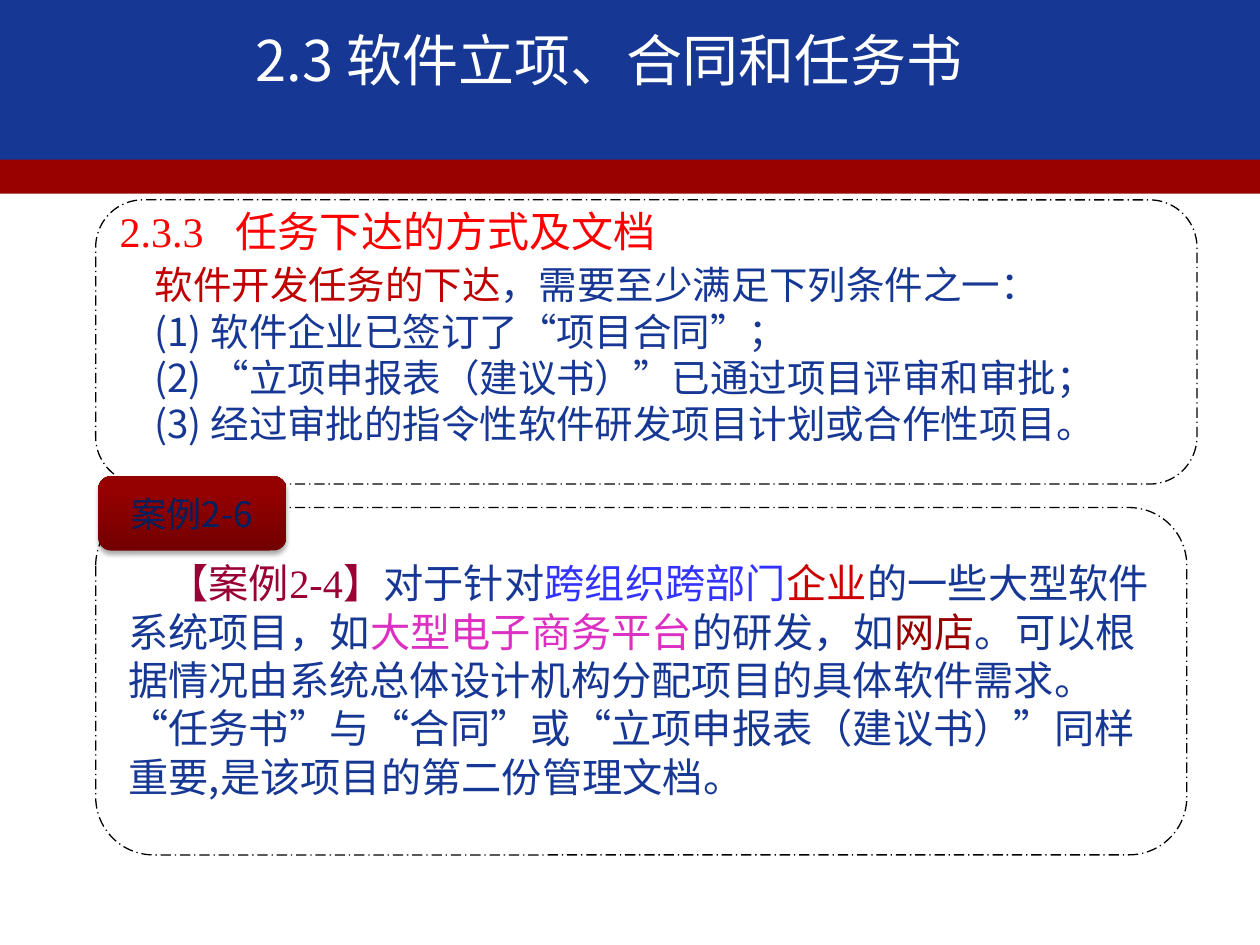
"""Build the slide on project approval, contracts and task statements."""
from dataclasses import dataclass

from lxml import etree
from pptx import Presentation
from pptx.dml.color import RGBColor
from pptx.enum.dml import MSO_LINE
from pptx.enum.shapes import MSO_SHAPE
from pptx.enum.text import MSO_ANCHOR, PP_ALIGN
from pptx.oxml.ns import qn
from pptx.util import Pt

RECTANGLE = MSO_SHAPE.RECTANGLE
ROUNDED = MSO_SHAPE.ROUNDED_RECTANGLE
FRAME = MSO_SHAPE.FLOWCHART_ALTERNATE_PROCESS
DASH_DOT = MSO_LINE.LONG_DASH_DOT
TOP, MIDDLE = MSO_ANCHOR.TOP, MSO_ANCHOR.MIDDLE
CENTER = PP_ALIGN.CENTER


@dataclass(frozen=True)
class Theme:
    sans: str = "Noto Sans CJK SC"
    serif: str = "Times New Roman"
    blue: str = "163794"
    red: str = "990000"
    white: str = "FFFFFF"
    black: str = "000000"
    heading: str = "FF0000"
    emphasis: str = "C00000"
    case_mark: str = "990033"
    bright_blue: str = "3333FF"
    bright_red: str = "CC0000"
    pink: str = "DC30C3"
    navy: str = "002060"
    badge_dark: str = "720000"
    badge_light: str = "950000"
    title_size: float = 32
    heading_size: float = 24
    case_size: float = 23
    body_size: float = 22
    badge_size: float = 20


THEME = Theme()


def rgb(value):
    return RGBColor.from_string(value)


def style_font(font, name=None, size=None, color=None):
    """Apply the given settings, with the sans face for Chinese text."""
    if size:
        font.size = Pt(size)
    if color:
        font.color.rgb = rgb(color)
    if name:
        font.name = name
        etree.SubElement(font._rPr, qn("a:ea"), typeface=THEME.sans)


def add_shape(page, kind, left, top, width, height, fill=None):
    shape = page.shapes.add_shape(kind, Pt(left), Pt(top), Pt(width), Pt(height))
    shape.shadow.inherit = False
    shape.line.fill.background()
    if fill:
        shape.fill.solid()
        shape.fill.fore_color.rgb = rgb(fill)
    else:
        shape.fill.background()
    return shape


def add_frame(page, left, top, width, height):
    frame = add_shape(page, FRAME, left, top, width, height)
    frame.line.color.rgb = rgb(THEME.black)
    frame.line.width = Pt(0.75)
    frame.line.dash_style = DASH_DOT


def add_text_box(page, left, top, width, height, anchor=TOP):
    box = page.shapes.add_textbox(Pt(left), Pt(top), Pt(width), Pt(height))
    frame = box.text_frame
    frame.word_wrap = True
    frame.vertical_anchor = anchor
    if anchor == TOP:
        frame.margin_top = Pt(6)
    return frame


def fill_para(para, text, name, size, color, spacing=None):
    para.text = text
    if spacing:
        para.line_spacing = Pt(spacing)
    style_font(para.font, name, size, color)


def fill_spans(para, spans, size, spacing):
    """Write (text, colour, face) spans that share a size."""
    para.line_spacing = Pt(spacing)
    style_font(para.font, THEME.sans, size)
    for text, color, name in spans:
        span = para.add_run()
        span.text = text
        style_font(span.font, name, color=color)


def set_indent(para, left=0, first=0):
    props = para._p.get_or_add_pPr()
    props.set("marL", str(Pt(left)))
    props.set("indent", str(Pt(first)))


def add_tab_stop(para, position):
    tabs = etree.SubElement(para._p.get_or_add_pPr(), qn("a:tabLst"))
    etree.SubElement(tabs, qn("a:tab"), pos=str(Pt(position)), algn="l")


def add_title(page):
    add_shape(page, RECTANGLE, 0, 0, 720, 93, THEME.blue)
    add_shape(page, RECTANGLE, 0, 91.3, 720, 19.4, THEME.red)
    frame = add_text_box(page, 139, 10.8, 448, 46, MIDDLE)
    fill_para(frame.paragraphs[0], "2.3 软件立项、合同和任务书",
              THEME.sans, THEME.title_size, THEME.white)


def add_conditions(page):
    frame = add_text_box(page, 43.2, 110.2, 638, 170)
    frame.margin_left = Pt(25.2)
    heading = frame.paragraphs[0]
    heading.space_after = Pt(3)
    add_tab_stop(heading, 66)
    fill_para(heading, "2.3.3\t任务下达的方式及文档",
              THEME.serif, THEME.heading_size, THEME.heading, 30)

    intro = frame.add_paragraph()
    set_indent(intro, left=20)
    fill_spans(intro, [
        ("软件开发任务的下达", THEME.emphasis, THEME.sans),
        ("，需要至少满足下列条件之一：", THEME.blue, THEME.sans),
    ], THEME.body_size, 26.5)
    for text in (
        "(1) 软件企业已签订了“项目合同”；",
        "(2) “立项申报表（建议书）”已通过项目评审和审批；",
        "(3) 经过审批的指令性软件研发项目计划或合作性项目。",
    ):
        para = frame.add_paragraph()
        set_indent(para, left=20)
        fill_para(para, text, THEME.sans, THEME.body_size, THEME.blue, 26.5)


def add_case(page):
    frame = add_text_box(page, 66.2, 313.2, 607, 145.4)
    para = frame.paragraphs[0]
    set_indent(para, first=23)
    fill_spans(para, [
        ("【案例2-4】", THEME.case_mark, THEME.serif),
        ("对于针对", THEME.blue, THEME.sans),
        ("跨组织跨部门", THEME.bright_blue, THEME.sans),
        ("企业", THEME.bright_red, THEME.sans),
        ("的一些大型软件系统项目，如", THEME.blue, THEME.sans),
        ("大型电子商务平台", THEME.pink, THEME.sans),
        ("的研发，如", THEME.blue, THEME.sans),
        ("网店", THEME.red, THEME.sans),
        ("。可以根据情况由系统总体设计机构分配项目的具体软件需求。"
         "“任务书”与“合同”或“立项申报表（建议书）”同样重要,"
         "是该项目的第二份管理文档。", THEME.blue, THEME.sans),
    ], THEME.case_size, 27.6)


def add_badge(page):
    badge = add_shape(page, ROUNDED, 56.3, 272.2, 107.2, 42.4)
    badge.fill.gradient()
    badge.fill.gradient_angle = 90
    stops = ((0, THEME.badge_dark), (0.8, THEME.badge_light))
    for stop, (position, color) in zip(badge.fill.gradient_stops, stops):
        stop.position = position
        stop.color.rgb = rgb(color)
    effects = badge._element.spPr.find(qn("a:effectLst"))
    shadow = etree.SubElement(effects, qn("a:outerShdw"), blurRad=str(Pt(3.1)),
                              dist=str(Pt(1.8)), dir="5400000", rotWithShape="0")
    color = etree.SubElement(shadow, qn("a:srgbClr"), val=THEME.black)
    etree.SubElement(color, qn("a:alpha"), val="35000")
    frame = badge.text_frame
    frame.word_wrap = False
    frame.vertical_anchor = MIDDLE
    para = frame.paragraphs[0]
    para.alignment = CENTER
    fill_para(para, "案例2-6", THEME.sans, THEME.badge_size, THEME.navy)


def main():
    deck = Presentation()
    deck.slide_width, deck.slide_height = Pt(720), Pt(540)
    page = deck.slides.add_slide(deck.slide_layouts[6])
    add_title(page)
    add_conditions(page)
    add_frame(page, 54.7, 114.2, 629.3, 162.4)
    add_frame(page, 54.7, 290, 623.5, 198.5)
    add_case(page)
    add_badge(page)
    deck.save("out.pptx")


if __name__ == "__main__":
    main()
